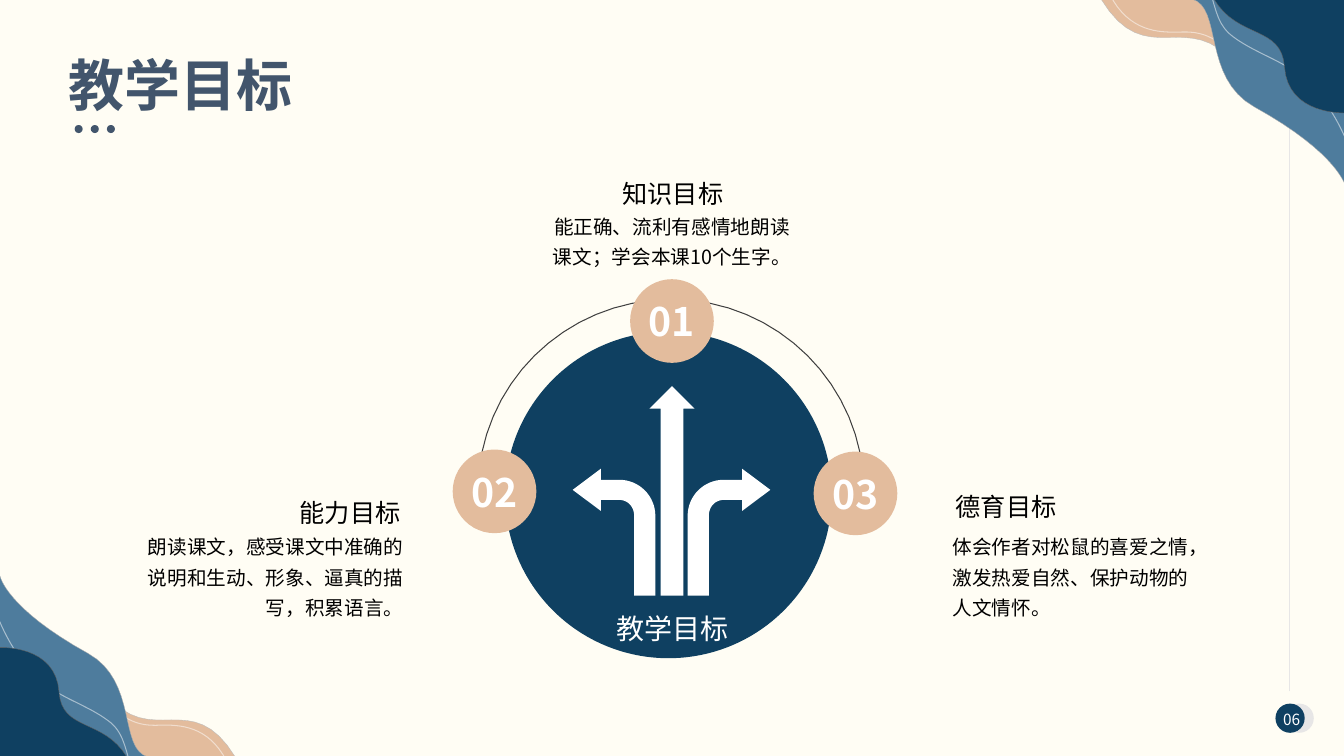
from lxml import etree
from pptx import Presentation
from pptx.dml.color import RGBColor
from pptx.enum.shapes import MSO_CONNECTOR, MSO_SHAPE
from pptx.enum.text import MSO_ANCHOR, MSO_AUTO_SIZE, PP_ALIGN
from pptx.oxml.ns import qn
from pptx.util import Inches, Pt

OVAL = MSO_SHAPE.OVAL
ROUND_RECT = MSO_SHAPE.ROUNDED_RECTANGLE
UP_ARROW = MSO_SHAPE.UP_ARROW
STRAIGHT = MSO_CONNECTOR.STRAIGHT
LEFT, CENTER, RIGHT = PP_ALIGN.LEFT, PP_ALIGN.CENTER, PP_ALIGN.RIGHT
TOP, MIDDLE = MSO_ANCHOR.TOP, MSO_ANCHOR.MIDDLE
GROW, FIXED = MSO_AUTO_SIZE.SHAPE_TO_FIT_TEXT, MSO_AUTO_SIZE.NONE

FONT = "Noto Sans CJK SC"
NAVY, BLUE, PEACH, SLATE = "0F4061", "4E7C9D", "E3BC9D", "42556C"
WHITE, BLACK, CREAM, PALE, ARC_GREY = "FFFFFF", "000000", "FFFAE1", "E7E6E6", "404040"
CURVE_STEPS = 16


def paint(color_format, color, alpha=100):
    color_format.rgb = RGBColor.from_string(color)
    if alpha < 100:
        solid = color_format._xFill.find(qn("a:srgbClr"))
        etree.SubElement(solid, qn("a:alpha")).set("val", str(alpha * 1000))


def flatten(outline):
    points = [outline[0]]
    for step in outline[1:]:
        if len(step) == 2:
            points.append(step)
            continue
        x0, y0 = points[-1]
        x1, y1, x2, y2, x3, y3 = step
        for i in range(1, CURVE_STEPS + 1):
            t = i / CURVE_STEPS
            a, b, c, d = (1 - t) ** 3, 3 * t * (1 - t) ** 2, 3 * t * t * (1 - t), t ** 3
            points.append((a * x0 + b * x1 + c * x2 + d * x3,
                           a * y0 + b * y1 + c * y2 + d * y3))
    return points


class SlideBuilder:
    def __init__(self, slide):
        self.shapes = slide.shapes
        self.font = FONT

    def fill(self, shape, color, alpha=100):
        shape.shadow.inherit = False
        shape.fill.solid()
        paint(shape.fill.fore_color, color, alpha)
        shape.line.fill.background()

    def preset(self, kind, x, y, w, h, color, alpha=100):
        shape = self.shapes.add_shape(kind, Inches(x), Inches(y), Inches(w), Inches(h))
        self.fill(shape, color, alpha)
        return shape

    def outline(self, points, closed):
        spots = [(Inches(x), Inches(y)) for x, y in points]
        builder = self.shapes.build_freeform(*spots[0])
        builder.add_line_segments(spots[1:], close=closed)
        return builder.convert_to_shape()

    def area(self, points, color):
        self.fill(self.outline(points, True), color)

    def curve(self, points, color, width, alpha=100):
        shape = self.outline(points, False)
        shape.shadow.inherit = False
        shape.fill.background()
        shape.line.width = Pt(width)
        paint(shape.line.color, color, alpha)

    def connector(self, x1, y1, x2, y2, color, width):
        line = self.shapes.add_connector(STRAIGHT, Inches(x1), Inches(y1), Inches(x2), Inches(y2))
        line.line.width = Pt(width)
        paint(line.line.color, color)
        etree.SubElement(line._element.spPr, qn("a:effectLst"))

    def set_text(self, shape, text, size, color, align=LEFT, anchor=TOP, bold=False,
                 spacing=1.0, inset=True, fit=FIXED):
        frame = shape.text_frame
        frame.word_wrap = True
        frame.auto_size = fit
        frame.vertical_anchor = anchor
        frame.margin_left = frame.margin_right = Inches(0.1 if inset else 0)
        frame.margin_top = frame.margin_bottom = Inches(0.05 if inset else 0)
        paragraph = frame.paragraphs[0]
        paragraph.alignment = align
        paragraph.line_spacing = spacing
        run = paragraph.add_run()
        run.text = text
        run.font.size = Pt(size)
        run.font.bold = bold
        run.font.name = self.font
        paint(run.font.color, color)
        etree.SubElement(run.font._element, qn("a:ea")).set("typeface", self.font)

    def label(self, x, y, w, h, text, size, color, **style):
        box = self.shapes.add_textbox(Inches(x), Inches(y), Inches(w), Inches(h))
        self.set_text(box, text, size, color, **style)

    def title(self, x, y, w, h, text):
        heading = self.shapes.title
        heading.left, heading.top, heading.width, heading.height = map(Inches, (x, y, w, h))
        self.set_text(heading, text, 40, SLATE, bold=True, inset=False, fit=GROW)
        self.shapes._spTree.append(heading._element)

    def badge(self, x, y, number):
        circle = self.preset(OVAL, x, y, 0.83, 0.83, PEACH)
        self.set_text(circle, number, 28, WHITE, align=CENTER, anchor=MIDDLE, bold=True, inset=False)


CORNER = (13.35, -0.01)
WAVES = [
    (PEACH, "BCBCBC",
     [(13.35, 1.24), (13.35, 1.24, 12.71, 1.22, 12.26, 0.65), (11.79, 0.05, 11.37, 0.73, 10.92, -0.01)],
     [(12.13, 0.45), (11.97, 0.33, 11.85, 0.31, 11.68, 0.32), (11.5, 0.32, 11.2, 0.32, 11.01, -0.05)]),
    (BLUE, "ADADAD",
     [(13.35, 1.86), (13.35, 1.86, 13.29, 1.53, 12.44, 1.06), (11.92, 0.77, 12.13, 0.07, 11.82, -0.01)],
     [(13.42, 1.56), (13.29, 1.2, 13.1, 0.87, 12.78, 0.67), (12.6, 0.56, 12.37, 0.48, 12.2, 0.34),
      (12.1, 0.25, 12.07, 0.15, 12.02, -0.03)]),
    (NAVY, "606060",
     [(13.35, 1.12), (13.35, 1.12, 12.77, 1.15, 12.74, 0.66), (12.71, 0.25, 12.28, 0.39, 12.04, -0.01)],
     None),
]
RIGHT_TURN = [
    (6.82, 5.91), (6.82, 5.12), (6.82, 4.92, 6.98, 4.76, 7.18, 4.76), (7.36, 4.76), (7.36, 4.65),
    (7.64, 4.86), (7.36, 5.07), (7.36, 4.96), (7.18, 4.96), (7.09, 4.96, 7.03, 5.03, 7.03, 5.12),
    (7.03, 5.91),
]
HALF_RING = [(4.74, 4.88), (4.74, 3.82, 5.6, 2.97, 6.66, 2.97), (7.71, 2.97, 8.57, 3.82, 8.57, 4.88)]
BADGES = [(4.49, 4.46, "02"), (8.07, 4.48, "03"), (6.25, 2.77, "01")]
GOALS = [
    (CENTER, "知识目标", (5.39, 1.63, 2.57, 0.47), 1.3,
     "能正确、流利有感情地朗读课文；学会本课10个生字。", (5.3, 2.01, 2.73, 0.7)),
    (LEFT, "德育目标", (9.38, 4.83, 2.57, 0.4), 1.0,
     "体会作者对松鼠的喜爱之情，激发热爱自然、保护动物的人文情怀。", (9.35, 5.19, 2.71, 1)),
    (RIGHT, "能力目标", (1.5, 4.79, 2.57, 0.47), 1.3,
     "朗读课文，感受课文中准确的说明和生动、形象、逼真的描写，积累语言。", (1.35, 5.19, 2.75, 1)),
]


def top_right(points):
    return points


def bottom_left(points):
    return [((CORNER[0] - x) * 0.96, 7.51 - (y - CORNER[1]) * 0.96) for x, y in points]


def main():
    prs = Presentation()
    prs.slide_width, prs.slide_height = Inches(13.33), Inches(7.5)
    page = SlideBuilder(prs.slides.add_slide(prs.slide_layouts[5]))

    backdrop = page.preset(ROUND_RECT, 0, 0, 13.33, 7.5, CREAM, alpha=35)
    backdrop.adjustments[0] = 0
    page.preset(OVAL, 12.74, 6.98, 0.29, 0.29, PALE)
    page.preset(OVAL, 12.65, 6.98, 0.29, 0.29, NAVY)
    page.connector(12.79, 6.86, 12.79, 0.64, PALE, 0.5)
    page.label(12.7, 7.04, 0.22, 0.19, "06", 11, WHITE, align=CENTER, anchor=MIDDLE,
               inset=False, fit=GROW)

    for place in (top_right, bottom_left):
        for color, edge_color, edge, highlight in WAVES:
            rim = flatten(edge)
            page.area(place(rim + [CORNER]), color)
            if highlight:
                page.curve(place(flatten(highlight)), WHITE, 0.75, alpha=50)
            page.curve(place(rim), edge_color, 0.25)

    page.title(0.68, 0.5, 11.65, 0.67, "教学目标")
    for i in range(3):
        page.preset(OVAL, 0.74 + 0.16 * i, 1.24, 0.08, 0.08, SLATE)

    page.curve(flatten(HALF_RING), ARC_GREY, 0.75)
    page.preset(OVAL, 5.01, 3.29, 3.24, 3.24, NAVY)
    page.preset(UP_ARROW, 6.44, 3.83, 0.45, 2.08, WHITE)
    turn = flatten(RIGHT_TURN)
    page.area(turn, WHITE)
    page.area([(13.32 - x, y) for x, y in turn], WHITE)
    page.label(5.89, 5.94, 1.56, 0.55, "教学目标", 20, WHITE, align=CENTER, anchor=MIDDLE, spacing=1.1)
    for x, y, number in BADGES:
        page.badge(x, y, number)

    for align, heading, heading_at, heading_spacing, detail, detail_at in GOALS:
        page.label(*detail_at, detail, 14, BLACK, align=align, spacing=1.3, fit=GROW)
        page.label(*heading_at, heading, 18, BLACK, align=align, spacing=heading_spacing, fit=GROW)

    prs.save("out.pptx")


if __name__ == "__main__":
    main()
